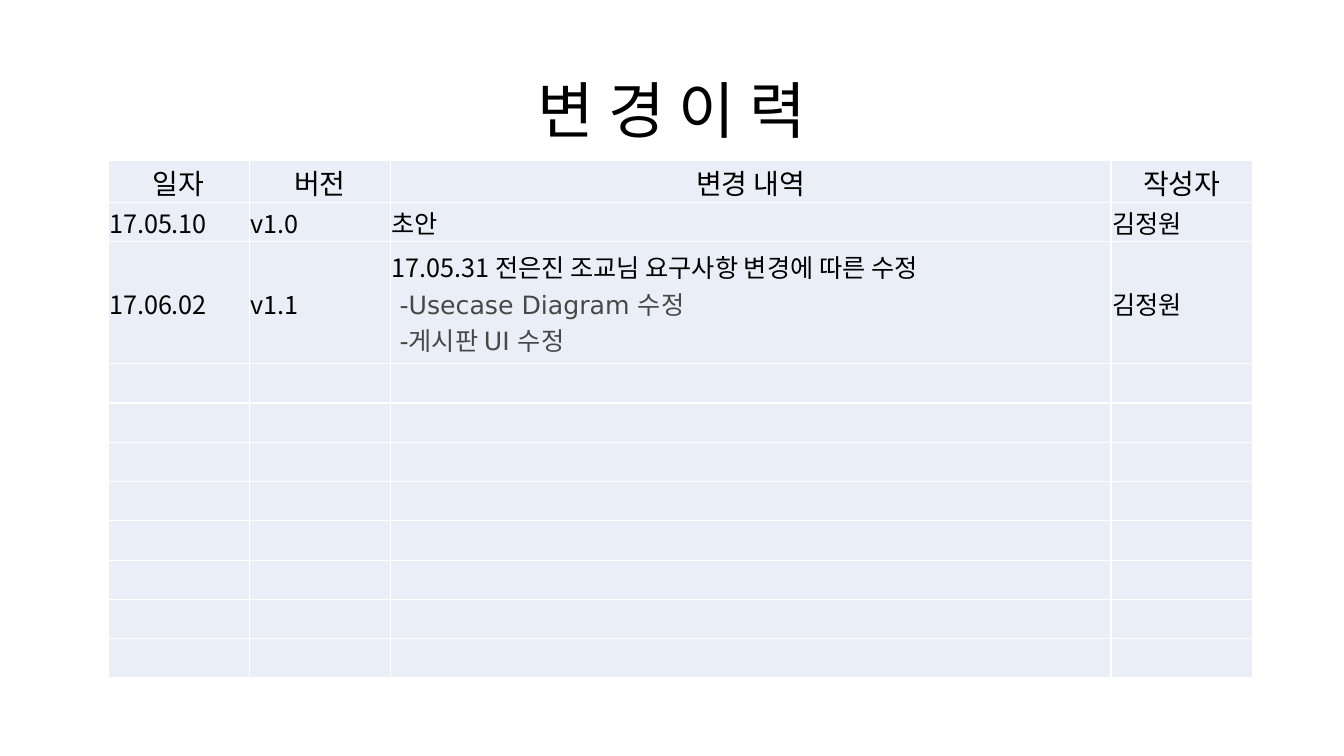
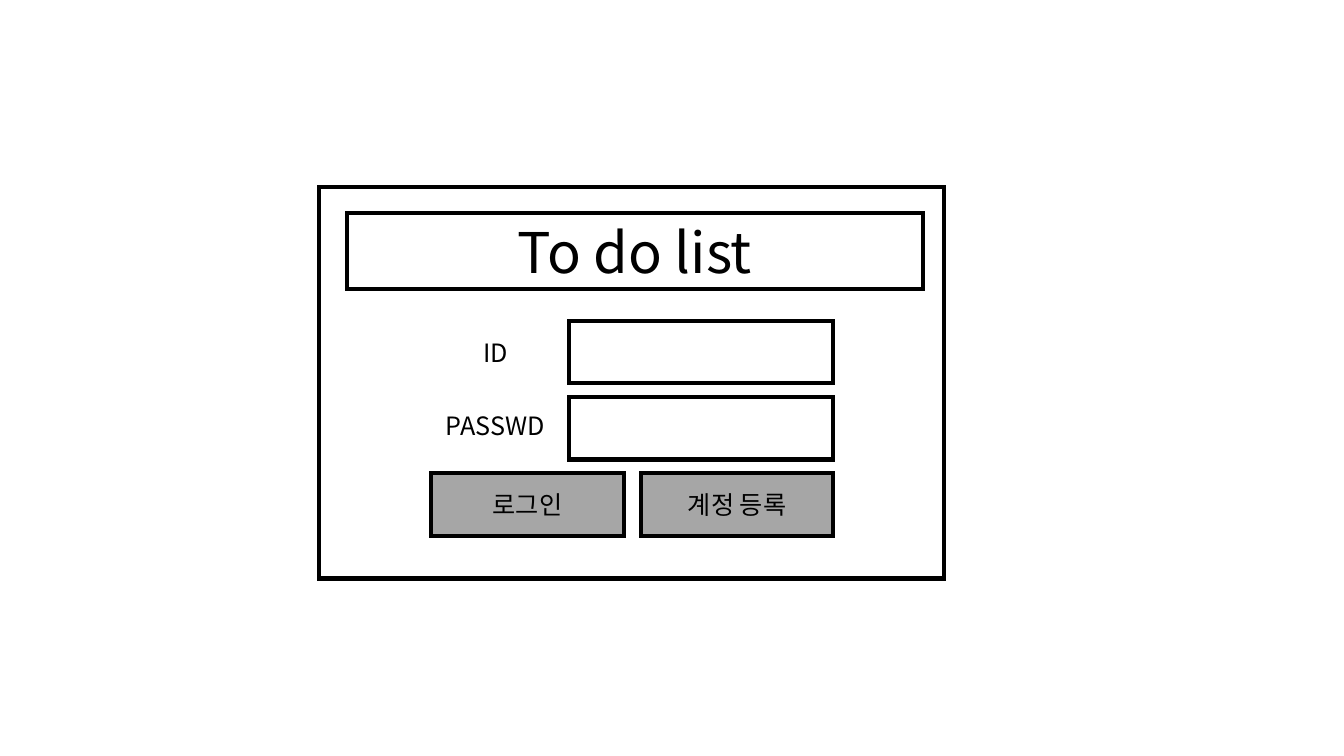
from dataclasses import dataclass

from lxml import etree
from pptx import Presentation
from pptx import util as u
from pptx.dml import color
from pptx.enum import shapes, text
from pptx.oxml import ns


@dataclass(frozen=True)
class Theme:
    black: color.RGBColor = color.RGBColor(0x00, 0x00, 0x00)
    white: color.RGBColor = color.RGBColor(0xFF, 0xFF, 0xFF)
    muted: color.RGBColor = color.RGBColor(0x48, 0x48, 0x48)
    cell: color.RGBColor = color.RGBColor(0xEA, 0xEF, 0xF7)
    button: color.RGBColor = color.RGBColor(0xA6, 0xA6, 0xA6)
    font: str = "Noto Sans CJK KR"
    detail_font: str = "DejaVu Sans"
    title_size: int = 44
    banner_size: int = 40
    header_size: int = 20
    body_size: int = 18
    outline: int = 3
    grid: int = 1


THEME = Theme()
CENTER = text.PP_ALIGN.CENTER
LEFT = text.PP_ALIGN.LEFT

COLUMN_WIDTHS = (3.56, 3.56, 18.16, 3.56)
ROW_HEIGHT = 0.99
DETAIL_ROW_HEIGHT = 3.07
ROW_COUNT = 11
HISTORY = (
    ("일자", "버전", "변경 내역", "작성자"),
    ("17.05.10", "v1.0", "초안", "김정원"),
    (
        "17.06.02",
        "v1.1",
        "17.05.31 전은진 조교님 요구사항 변경에 따른 수정\n"
        " -Usecase Diagram 수정\n"
        " -게시판 UI 수정",
        "김정원",
    ),
)


def add_child(parent, tag, **attributes):
    return etree.SubElement(parent, ns.qn(tag), **attributes)


def format_paragraph(paragraph, size, alignment=CENTER, font=THEME.font, ink=THEME.black):
    paragraph.alignment = alignment
    for run in paragraph.runs:
        run.font.size = u.Pt(size)
        run.font.name = font
        run.font.color.rgb = ink
        add_child(run._r.get_or_add_rPr(), "a:ea", typeface=THEME.font)


def add_title(slide, wording):
    title = slide.shapes.title
    title.left, title.top = u.Cm(2.33), u.Cm(1.02)
    title.width, title.height = u.Cm(29.21), u.Cm(3.68)
    frame = title.text_frame
    frame.text = wording
    frame.vertical_anchor = text.MSO_ANCHOR.MIDDLE
    frame.paragraphs[0].line_spacing = 0.9
    format_paragraph(frame.paragraphs[0], THEME.title_size)


def format_cell(cell):
    cell.margin_left = cell.margin_right = cell.margin_top = u.Cm(0.03)
    cell.margin_bottom = 0
    cell.vertical_anchor = text.MSO_ANCHOR.MIDDLE
    properties = cell._tc.get_or_add_tcPr()
    for side in ("L", "R", "T", "B"):
        border = add_child(properties, f"a:ln{side}", w=str(u.Pt(THEME.grid)))
        add_child(add_child(border, "a:solidFill"), "a:srgbClr", val=str(THEME.white))
    cell.fill.solid()
    cell.fill.fore_color.rgb = THEME.cell


def fill_cell(cell, wording, is_header):
    cell.text_frame.text = wording
    for paragraph in cell.text_frame.paragraphs:
        if is_header:
            format_paragraph(paragraph, THEME.header_size)
        elif paragraph.text.startswith(" -"):
            format_paragraph(paragraph, THEME.body_size, LEFT, THEME.detail_font, THEME.muted)
        else:
            format_paragraph(paragraph, THEME.body_size, LEFT)


def add_history_table(slide):
    heights = [ROW_HEIGHT] * ROW_COUNT
    heights[2] = DETAIL_ROW_HEIGHT
    table = slide.shapes.add_table(
        ROW_COUNT, len(COLUMN_WIDTHS), u.Cm(2.72), u.Cm(4.05),
        u.Cm(sum(COLUMN_WIDTHS)), u.Cm(sum(heights)),
    ).table
    table.first_row = table.horz_banding = False
    for column, width in zip(table.columns, COLUMN_WIDTHS):
        column.width = u.Cm(width)
    for row, height in zip(table.rows, heights):
        row.height = u.Cm(height)
    for cell in table.iter_cells():
        format_cell(cell)
    for row_index, entries in enumerate(HISTORY):
        for column_index, wording in enumerate(entries):
            fill_cell(table.cell(row_index, column_index), wording, row_index == 0)


def set_shape_text(shape, wording, size):
    frame = shape.text_frame
    frame.word_wrap = True
    frame.vertical_anchor = text.MSO_ANCHOR.MIDDLE
    frame.text = wording
    format_paragraph(frame.paragraphs[0], size)


def add_box(group, left, top, width, height, fill=None, wording="", size=THEME.body_size):
    box = group.shapes.add_shape(
        shapes.MSO_SHAPE.RECTANGLE, u.Cm(left), u.Cm(top), u.Cm(width), u.Cm(height)
    )
    box.shadow.inherit = False
    if fill is None:
        box.fill.background()
    else:
        box.fill.solid()
        box.fill.fore_color.rgb = fill
    box.line.color.rgb = THEME.black
    box.line.width = u.Pt(THEME.outline)
    add_child(box.line._get_or_add_ln(), "a:miter", lim="800000")
    if wording:
        set_shape_text(box, wording, size)


def add_label(group, left, top, width, height, wording):
    label = group.shapes.add_textbox(u.Cm(left), u.Cm(top), u.Cm(width), u.Cm(height))
    set_shape_text(label, wording, THEME.body_size)


def build_history_slide(presentation):
    slide = presentation.slides.add_slide(presentation.slide_layouts[5])
    add_title(slide, "변 경 이 력")
    add_history_table(slide)


def build_login_slide(presentation):
    slide = presentation.slides.add_slide(presentation.slide_layouts[6])
    group = slide.shapes.add_group_shape()
    form_left, form_right, form_top = 10.87, 21.0, 8.08
    control_height, row_pitch, label_pitch = 1.58, 1.92, 1.86
    field_width, button_width, label_width = 6.65, 4.85, 3.23

    add_box(group, 8.05, 4.72, 15.75, 9.86)
    add_box(group, 8.74, 5.36, 14.53, 1.93, THEME.white, "To do list", THEME.banner_size)
    for index, wording in enumerate(("ID", "PASSWD")):
        add_box(group, form_right - field_width, form_top + index * row_pitch,
                field_width, control_height)
        add_label(group, form_left, form_top + index * label_pitch,
                  label_width, control_height, wording)
    button_lefts = (form_left, form_right - button_width)
    for left, wording in zip(button_lefts, ("로그인", "계정 등록")):
        add_box(group, left, form_top + 2 * row_pitch, button_width, control_height,
                THEME.button, wording)


def main():
    presentation = Presentation()
    presentation.slide_width = u.Cm(33.87)
    presentation.slide_height = u.Cm(19.05)
    build_history_slide(presentation)
    build_login_slide(presentation)
    presentation.save("out.pptx")


if __name__ == "__main__":
    main()
